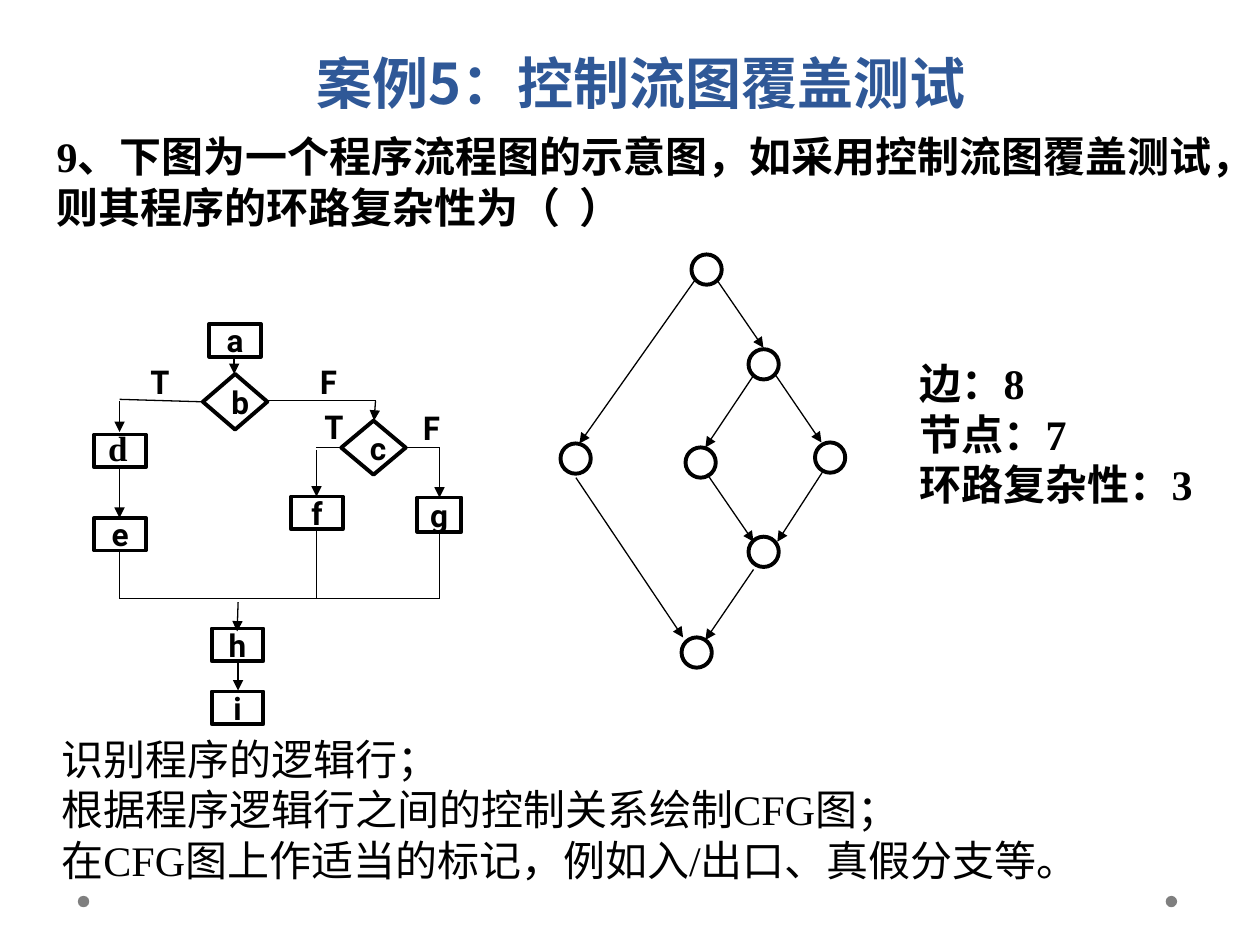
"""Build the control flow graph coverage case slide."""
from lxml.etree import SubElement
from pptx import Presentation
from pptx.dml.color import RGBColor
from pptx.enum.shapes import MSO_CONNECTOR, MSO_SHAPE
from pptx.enum.text import MSO_ANCHOR, MSO_AUTO_SIZE, PP_ALIGN
from pptx.oxml.ns import qn
from pptx.util import Cm, Pt

THEME = {
    "title": {"name": "Noto Sans CJK SC", "size": Pt(32), "bold": True},
    "strong": {"name": "Times New Roman", "size": Pt(24), "bold": True},
    "plain": {"name": "Times New Roman", "size": Pt(24), "bold": False},
    "node": {"name": "Roboto", "size": Pt(18), "bold": True},
    "branch": {"name": "Noto Sans CJK SC", "size": Pt(18), "bold": True},
    "letter": {"name": "Times New Roman", "size": Pt(20), "bold": True},
    "blue": RGBColor(0x2F, 0x58, 0x97),
    "black": RGBColor(0, 0, 0),
    "gray": RGBColor(0x7F, 0x7F, 0x7F),
    "outline": Pt(2.25),
    "hairline": Pt(0.75),
}


def write(sp, text, style, color="black", align=PP_ALIGN.LEFT, anchor=MSO_ANCHOR.TOP, wrap=True):
    tf = sp.text_frame
    tf.text = text
    frame = {"word_wrap": wrap, "auto_size": MSO_AUTO_SIZE.NONE, "vertical_anchor": anchor}
    for key, value in frame.items():
        setattr(tf, key, value)
    for p in tf.paragraphs:
        p.alignment = align
        for r in p.runs:
            for key, value in THEME[style].items():
                setattr(r.font, key, value)
            r.font.color.rgb = THEME[color]
            SubElement(r.font._element, qn("a:ea")).set("typeface", "Noto Sans CJK SC")


def outlined(shapes, kind, left, top, width, height):
    sp = shapes.add_shape(kind, Cm(left), Cm(top), Cm(width), Cm(height))
    sp.shadow.inherit = False
    sp.fill.background()
    sp.line.color.rgb = THEME["black"]
    sp.line.width = THEME["outline"]
    return sp


prs = Presentation()
prs.slide_width, prs.slide_height = Cm(25.4), Cm(19.05)
s = prs.slides.add_slide(prs.slide_layouts[5])

for left in (23.5, 1.57):
    dot = s.shapes.add_shape(MSO_SHAPE.OVAL, Cm(left), Cm(18.06), Cm(0.23), Cm(0.23))
    dot.shadow.inherit = False
    dot.fill.solid()
    dot.fill.fore_color.rgb = THEME["gray"]
    dot.line.fill.background()

title = s.shapes.title
place = {"left": Cm(1.5), "top": Cm(0.15), "width": Cm(22.86), "height": Cm(2.39)}
for key, value in place.items():
    setattr(title, key, value)
write(title, "案例5：控制流图覆盖测试", "title", "blue", PP_ALIGN.CENTER)
title.text_frame.paragraphs[0].line_spacing = Pt(58)

BOX, DIAMOND = MSO_SHAPE.RECTANGLE, MSO_SHAPE.FLOWCHART_DECISION
flow_nodes = [
    ("a", BOX, 4.22, 6.53, 1.04, 0.66),
    ("b", DIAMOND, 4.09, 7.54, 1.3, 1.12),
    ("c", DIAMOND, 6.88, 8.48, 1.3, 1.09),
    ("", BOX, 1.9, 8.76, 1.04, 0.66),
    ("e", BOX, 1.9, 10.44, 1.04, 0.66),
    ("f", BOX, 5.87, 10.01, 1.04, 0.66),
    ("g", BOX, 8.41, 10.03, 0.89, 0.69),
    ("h", BOX, 4.27, 12.67, 1.04, 0.66),
    ("i", BOX, 4.27, 13.94, 1.04, 0.66),
]
for name, kind, *box in flow_nodes:
    sp = outlined(s.shapes, kind, *box)
    if name:
        write(sp, name, "node", align=PP_ALIGN.CENTER, anchor=MSO_ANCHOR.MIDDLE)

graph_nodes = [(13.94, 5.13), (15.09, 7.04), (11.3, 8.94), (13.82, 9.02),
               (16.43, 8.92), (15.09, 10.82), (13.74, 12.85)]
for left, top in graph_nodes:
    outlined(s.shapes, MSO_SHAPE.OVAL, left, top, 0.61, 0.61)

flow_arrows = [
    (4.72, 7.19, 4.72, 7.54), (2.41, 8.08, 2.41, 8.71), (7.57, 8.08, 7.54, 8.48),
    (2.41, 9.4, 2.41, 10.44), (6.38, 9.07, 6.38, 10.01), (8.86, 9.02, 8.86, 10.03),
    (4.8, 12.14, 4.78, 12.73), (4.8, 13.34, 4.8, 13.92),
]
flow_lines = [
    (2.41, 8.05, 4.09, 8.1), (5.38, 8.08, 7.57, 8.08), (6.38, 9.02, 6.88, 9.02),
    (8.2, 9.02, 8.86, 9.02), (2.41, 11.1, 2.41, 12.07), (8.86, 12.07, 2.41, 12.07),
    (6.38, 10.69, 6.38, 12.07), (8.86, 10.72, 8.86, 12.07),
]
graph_edges = [
    (14.45, 5.64, 15.39, 7.01), (14.0, 5.66, 11.68, 8.94),
    (15.19, 7.57, 14.22, 9.02), (15.62, 7.54, 16.56, 8.92),
    (16.61, 9.47, 15.67, 10.92), (14.25, 9.55, 15.19, 10.92),
    (15.19, 11.48, 14.22, 12.9), (11.61, 9.63, 13.77, 12.85),
]
for group, has_arrow in ((flow_arrows, True), (flow_lines, False), (graph_edges, True)):
    for ends in group:
        line = s.shapes.add_connector(MSO_CONNECTOR.STRAIGHT, *map(Cm, ends))
        line.line.color.rgb = THEME["black"]
        line.line.width = THEME["hairline"]
        if has_arrow:
            SubElement(line.line._get_or_add_ln(), qn("a:tailEnd")).set("type", "triangle")
        SubElement(line._element.spPr, qn("a:effectLst"))

texts = [
    ("9、下图为一个程序流程图的示意图，如采用控制流图覆盖测试，则其程序的环路复杂性为（  ）",
     "strong", True, 0.89, 2.51, 24.21, 2.29),
    ("T", "branch", True, 2.79, 7.19, 0.64, 1.02),
    ("F", "branch", True, 6.2, 7.19, 0.64, 1.02),
    ("T", "branch", True, 6.3, 8.1, 0.64, 1.02),
    ("F", "branch", True, 8.26, 8.13, 0.64, 1.02),
    ("识别程序的逻辑行；\v根据程序逻辑行之间的控制关系绘制CFG图；\v"
     "在CFG图上作适当的标记，例如入/出口、真假分支等。",
     "plain", False, 0.99, 14.66, 21.82, 3.3),
    ("边：8\n节点：7\n环路复杂性：3", "strong", True, 18.29, 7.09, 6.17, 4.32),
    ("d", "letter", False, 1.93, 8.48, 0.89, 1.12),
]
for text, style, wrap, *box in texts:
    write(s.shapes.add_textbox(*map(Cm, box)), text, style, wrap=wrap)

prs.save("out.pptx")
